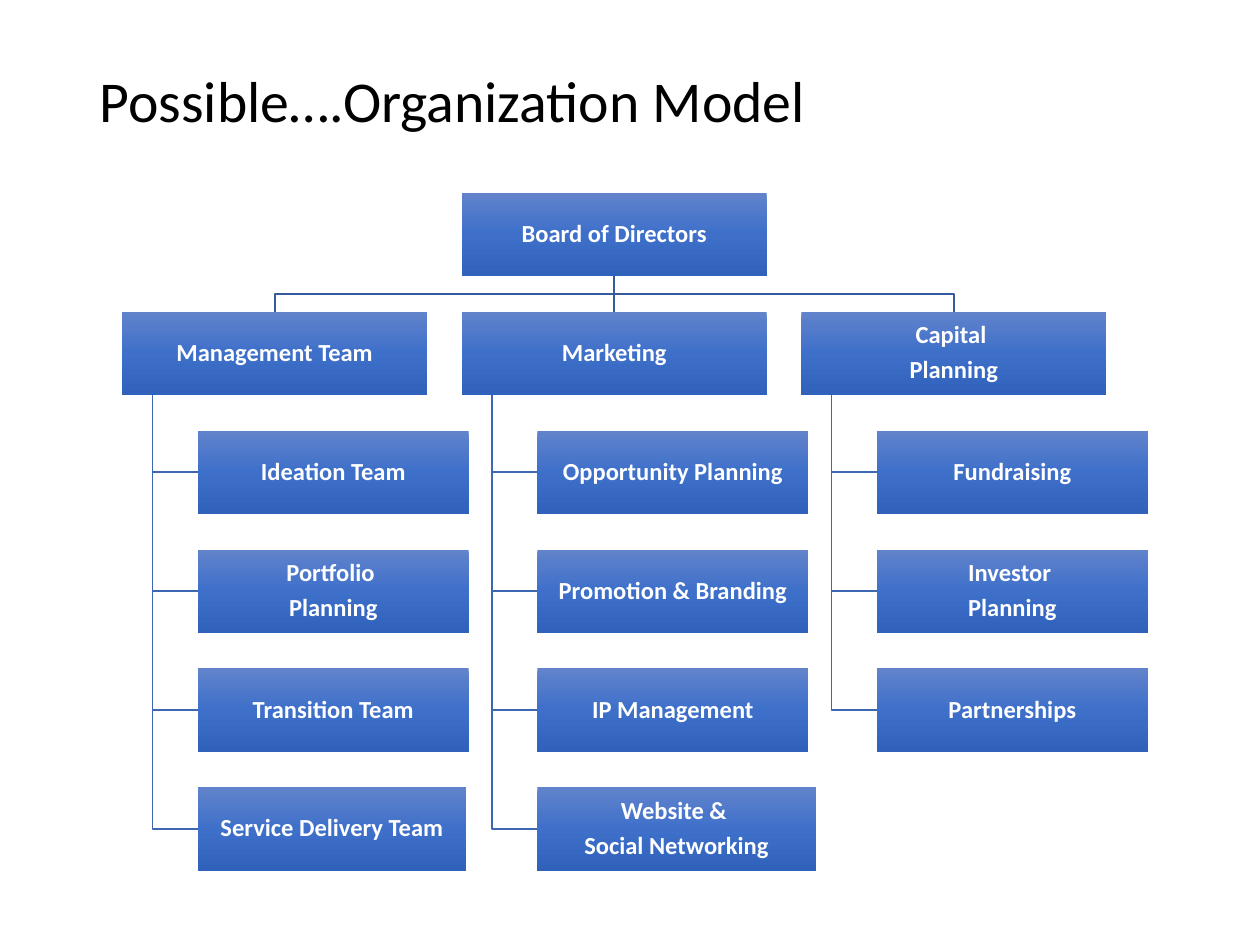
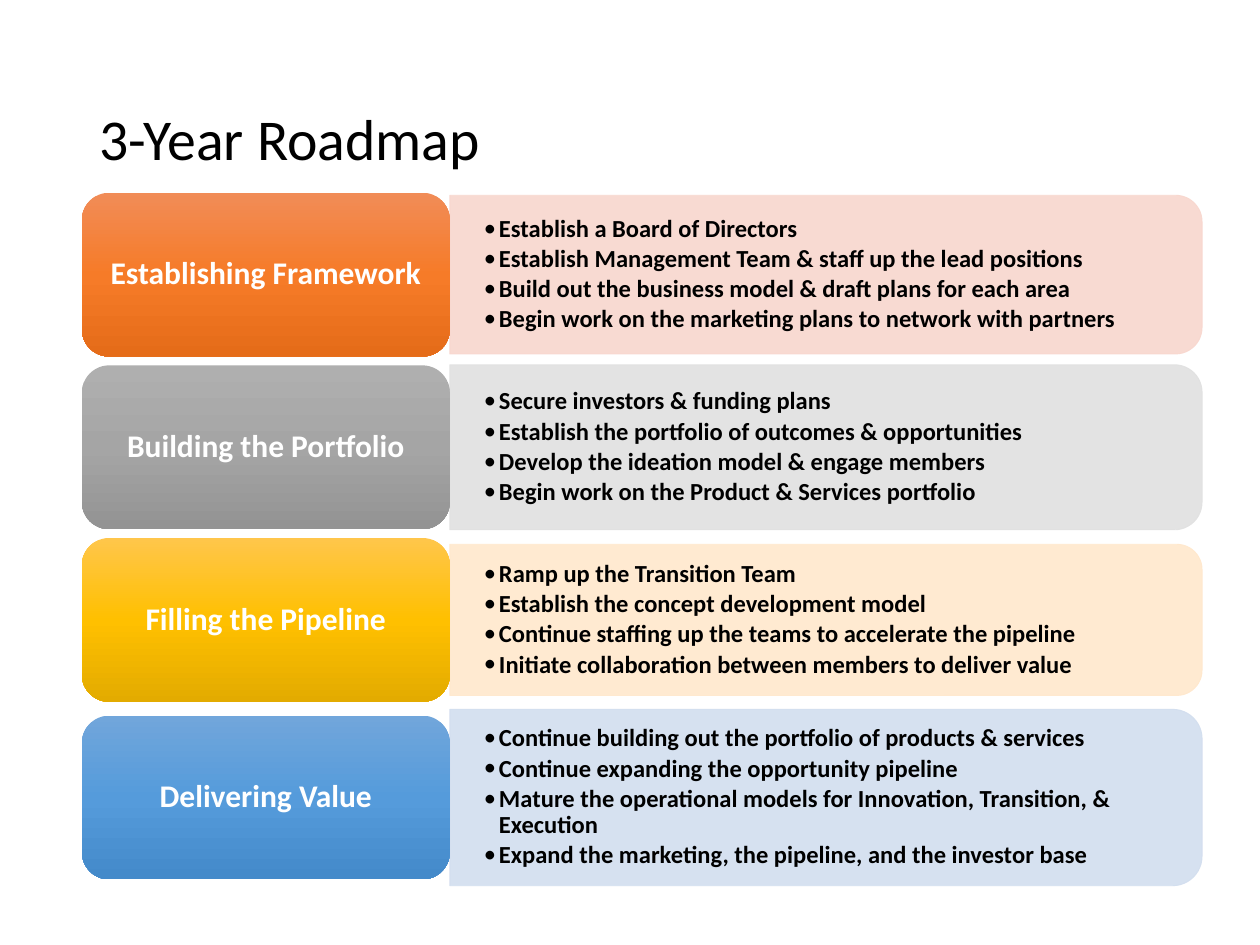
from copy import deepcopy

from lxml import etree
from pptx import Presentation
from pptx.dml.color import RGBColor
from pptx.enum.shapes import MSO_CONNECTOR, MSO_SHAPE
from pptx.enum.text import MSO_ANCHOR, MSO_AUTO_SIZE, PP_ALIGN
from pptx.oxml.ns import qn
from pptx.util import Inches, Pt

RECTANGLE = MSO_SHAPE.RECTANGLE
ROUNDED = MSO_SHAPE.ROUNDED_RECTANGLE
ROUNDED_END = MSO_SHAPE.ROUND_2_SAME_RECTANGLE
STRAIGHT = MSO_CONNECTOR.STRAIGHT
MIDDLE = MSO_ANCHOR.MIDDLE
LEFT, CENTER = PP_ALIGN.LEFT, PP_ALIGN.CENTER
NO_AUTOFIT = MSO_AUTO_SIZE.NONE

FONT = "Calibri"
BLACK = RGBColor(0x00, 0x00, 0x00)
WHITE = RGBColor(0xFF, 0xFF, 0xFF)
BOARD_LINE = RGBColor(0x36, 0x5B, 0x9D)
TEAM_LINE = RGBColor(0x3E, 0x67, 0xB2)
BLUE = (RGBColor(0x61, 0x83, 0xCB), RGBColor(0x3E, 0x70, 0xCA), RGBColor(0x30, 0x62, 0xBB))
ORANGE = (RGBColor(0xF1, 0x8C, 0x57), RGBColor(0xF6, 0x7B, 0x28), RGBColor(0xE5, 0x6C, 0x19))
GRAY = (RGBColor(0xAF, 0xAF, 0xAF), RGBColor(0xA5, 0xA5, 0xA5), RGBColor(0x93, 0x93, 0x93))
GOLD = (RGBColor(0xFF, 0xC6, 0x4B), RGBColor(0xFF, 0xC0, 0x00), RGBColor(0xE3, 0xAB, 0x00))
SKY = (RGBColor(0x71, 0xA6, 0xDB), RGBColor(0x55, 0x9B, 0xDB), RGBColor(0x44, 0x8A, 0xCA))
PALE_ORANGE = RGBColor(0xF8, 0xD7, 0xCE)
PALE_GRAY = RGBColor(0xE1, 0xE1, 0xE1)
PALE_GOLD = RGBColor(0xFF, 0xE8, 0xCC)
PALE_SKY = RGBColor(0xD2, 0xDE, 0xEF)

ORGANIZATION_TITLE = "Possible….Organization Model"
BOARD = "Board of Directors"
DEPARTMENTS = [
    ("Management Team", [
        ("Ideation Team", 2.15),
        ("Portfolio \nPlanning", 2.15),
        ("Transition Team", 2.15),
        ("Service Delivery Team", 2.13),
    ]),
    ("Marketing", [
        ("Opportunity Planning", 2.15),
        ("Promotion & Branding", 2.15),
        ("IP Management", 2.15),
        ("Website & \nSocial Networking", 2.21),
    ]),
    ("Capital \nPlanning", [
        ("Fundraising", 2.15),
        ("Investor \nPlanning", 2.15),
        ("Partnerships", 2.15),
    ]),
]

ROADMAP_TITLE = "3-Year Roadmap"
STAGES = [
    ("Establishing Framework", 1.53, 1.26, ORANGE, PALE_ORANGE, [
        "Establish a Board of Directors",
        "Establish Management Team & staff up the lead positions",
        "Build out the business model & draft plans for each area",
        "Begin work on the marketing plans to network with partners",
    ]),
    ("Building the Portfolio", 2.9, 1.31, GRAY, PALE_GRAY, [
        "Secure investors & funding plans",
        "Establish the portfolio of outcomes & opportunities",
        "Develop the ideation model & engage members",
        "Begin work on the Product & Services portfolio",
    ]),
    ("Filling the Pipeline", 4.27, 1.2, GOLD, PALE_GOLD, [
        "Ramp up the Transition Team",
        "Establish the concept development model",
        "Continue staffing up the teams to accelerate the pipeline",
        "Initiate collaboration between members to deliver value",
    ]),
    ("Delivering Value", 5.68, 1.4, SKY, PALE_SKY, [
        "Continue building out the portfolio of products & services",
        "Continue expanding the opportunity pipeline",
        "Mature the operational models for Innovation, Transition, & Execution",
        "Expand the marketing, the pipeline, and the investor base",
    ]),
]

CHART_LEFT, CHART_TOP = 0.97, 1.53
COLUMN_PITCH = (6.36 - CHART_LEFT) / 2
ROW_PITCH = (6.25 - CHART_TOP) / 5
BOX_WIDTH, BOX_HEIGHT = 2.42, 0.66
TRUNK_INDENT, TEAM_INDENT = 0.24, 0.6

STAGE_LEFT, STAGE_WIDTH, STAGE_HEIGHT = 0.65, 2.92, 1.3
BAND_LEFT, BAND_WIDTH = 3.57, 5.97
BULLET_INDENT = 0.12


def add_titled_slide(presentation, title, height):
    slide = presentation.slides.add_slide(presentation.slide_layouts[5])
    shape = slide.shapes.title
    shape.left, shape.top = Inches(0.69), Inches(0.4)
    shape.width, shape.height = Inches(8.62), Inches(height)
    frame = shape.text_frame
    frame.text = title
    frame.auto_size = NO_AUTOFIT
    format_text(frame, 33, BLACK, LEFT, 0, bold=False)
    return slide


def format_text(frame, size, color, alignment, space_after, bold=True):
    frame.word_wrap = True
    frame.vertical_anchor = MIDDLE
    for paragraph in frame.paragraphs:
        paragraph.alignment = alignment
        paragraph.line_spacing = 0.9
        paragraph.space_after = Pt(space_after)
        for run in paragraph.runs:
            run.font.name = FONT
            run.font.size = Pt(size)
            run.font.bold = bold
            run.font.color.rgb = color


def set_insets(frame, horizontal, vertical):
    frame.margin_left = frame.margin_right = Inches(horizontal)
    frame.margin_top = frame.margin_bottom = Inches(vertical)


def fill_gradient(shape, colors):
    shape.fill.gradient()
    shape.fill.gradient_angle = 270
    stop_list = shape.fill.gradient_stops[0]._gs.getparent()
    stop_list.append(deepcopy(stop_list[0]))
    for stop, color, position in zip(shape.fill.gradient_stops, colors, (0, 0.5, 1)):
        stop.color.rgb = color
        stop.position = position


def add_gradient_box(slide, kind, box, text, colors, size, insets):
    shape = slide.shapes.add_shape(kind, *map(Inches, box))
    shape.shadow.inherit = False
    fill_gradient(shape, colors)
    shape.line.fill.background()
    shape.text_frame.text = text
    set_insets(shape.text_frame, *insets)
    format_text(shape.text_frame, size, WHITE, CENTER, 0.35 * size)
    return shape


def add_organization_box(slide, left, row, width, text):
    box = (left, CHART_TOP + row * ROW_PITCH, width, BOX_HEIGHT)
    return add_gradient_box(slide, RECTANGLE, box, text, BLUE, 14, (0.01, 0.01))


def add_bent_line(slide, points, color):
    start, *corners = [(Inches(x), Inches(y)) for x, y in points]
    builder = slide.shapes.build_freeform(*start)
    builder.add_line_segments(corners, close=False)
    line = builder.convert_to_shape()
    line.shadow.inherit = False
    line.fill.background()
    line.line.color.rgb = color
    line.line.width = Pt(1)


def add_straight_join(slide, upper, lower):
    connector = slide.shapes.add_connector(STRAIGHT, 0, 0, 0, 0)
    connector.begin_connect(upper, 2)
    connector.end_connect(lower, 0)
    connector.line.color.rgb = BOARD_LINE
    connector.line.width = Pt(1)
    etree.SubElement(connector._element.spPr, qn("a:effectLst"))


def build_organization(presentation):
    slide = add_titled_slide(presentation, ORGANIZATION_TITLE, 0.85)
    board_left = CHART_LEFT + COLUMN_PITCH
    board = add_organization_box(slide, board_left, 0, BOX_WIDTH, BOARD)
    board_center = board_left + BOX_WIDTH / 2
    board_bottom = CHART_TOP + BOX_HEIGHT
    department_top = CHART_TOP + ROW_PITCH
    branch_y = (board_bottom + department_top) / 2
    trunk_top = department_top + BOX_HEIGHT

    for column, (department, teams) in enumerate(DEPARTMENTS):
        left = CHART_LEFT + column * COLUMN_PITCH
        center = left + BOX_WIDTH / 2
        trunk = left + TRUNK_INDENT
        department_box = add_organization_box(slide, left, 1, BOX_WIDTH, department)
        if column == 1:
            add_straight_join(slide, board, department_box)
        else:
            add_bent_line(slide, [(board_center, board_bottom), (board_center, branch_y),
                                  (center, branch_y), (center, department_top)], BOARD_LINE)
        for row, (team, width) in enumerate(teams, start=2):
            team_left = left + TEAM_INDENT
            team_middle = CHART_TOP + row * ROW_PITCH + BOX_HEIGHT / 2
            add_bent_line(slide, [(trunk, trunk_top), (trunk, team_middle),
                                  (team_left, team_middle)], TEAM_LINE)
            add_organization_box(slide, team_left, row, width, team)


def add_band(slide, middle, height, color):
    center = BAND_LEFT + BAND_WIDTH / 2
    band = slide.shapes.add_shape(
        ROUNDED_END, Inches(center - height / 2), Inches(middle - BAND_WIDTH / 2),
        Inches(height), Inches(BAND_WIDTH))
    band.rotation = 90
    band.shadow.inherit = False
    band.fill.solid()
    band.fill.fore_color.rgb = color
    band.line.color.rgb = color
    band.line.width = Pt(0.5)
    for color_element in band._element.spPr.iter(qn("a:srgbClr")):
        etree.SubElement(color_element, qn("a:alpha"), val="90000")


def add_bullets(slide, middle, height, items):
    box = slide.shapes.add_textbox(Inches(BAND_LEFT), Inches(middle - height / 2),
                                   Inches(5.91), Inches(height))
    frame = box.text_frame
    frame.text = "\n".join(items)
    set_insets(frame, 0.27, 0.14)
    for paragraph in frame.paragraphs:
        paragraph.level = 1
        properties = paragraph._p.get_or_add_pPr()
        properties.set("marL", str(Inches(BULLET_INDENT)))
        properties.set("indent", str(-Inches(BULLET_INDENT)))
        etree.SubElement(properties, qn("a:buFont"), typeface=FONT)
        etree.SubElement(properties, qn("a:buChar"), char="•")
        paragraph.font.size = Pt(14)
    format_text(frame, 14, BLACK, LEFT, 2.1)


def build_roadmap(presentation):
    slide = add_titled_slide(presentation, ROADMAP_TITLE, 1.45)
    for stage, top, band_height, colors, pale, items in STAGES:
        middle = top + STAGE_HEIGHT / 2
        add_band(slide, middle, band_height, pale)
        add_bullets(slide, middle, band_height - 0.13, items)
        box = (STAGE_LEFT, top, STAGE_WIDTH, STAGE_HEIGHT)
        add_gradient_box(slide, ROUNDED, box, stage, colors, 18, (0.07, 0.04))


def main():
    presentation = Presentation()
    presentation.slide_width = Inches(10)
    presentation.slide_height = Inches(7.5)
    build_organization(presentation)
    build_roadmap(presentation)
    presentation.save("out.pptx")


if __name__ == "__main__":
    main()
